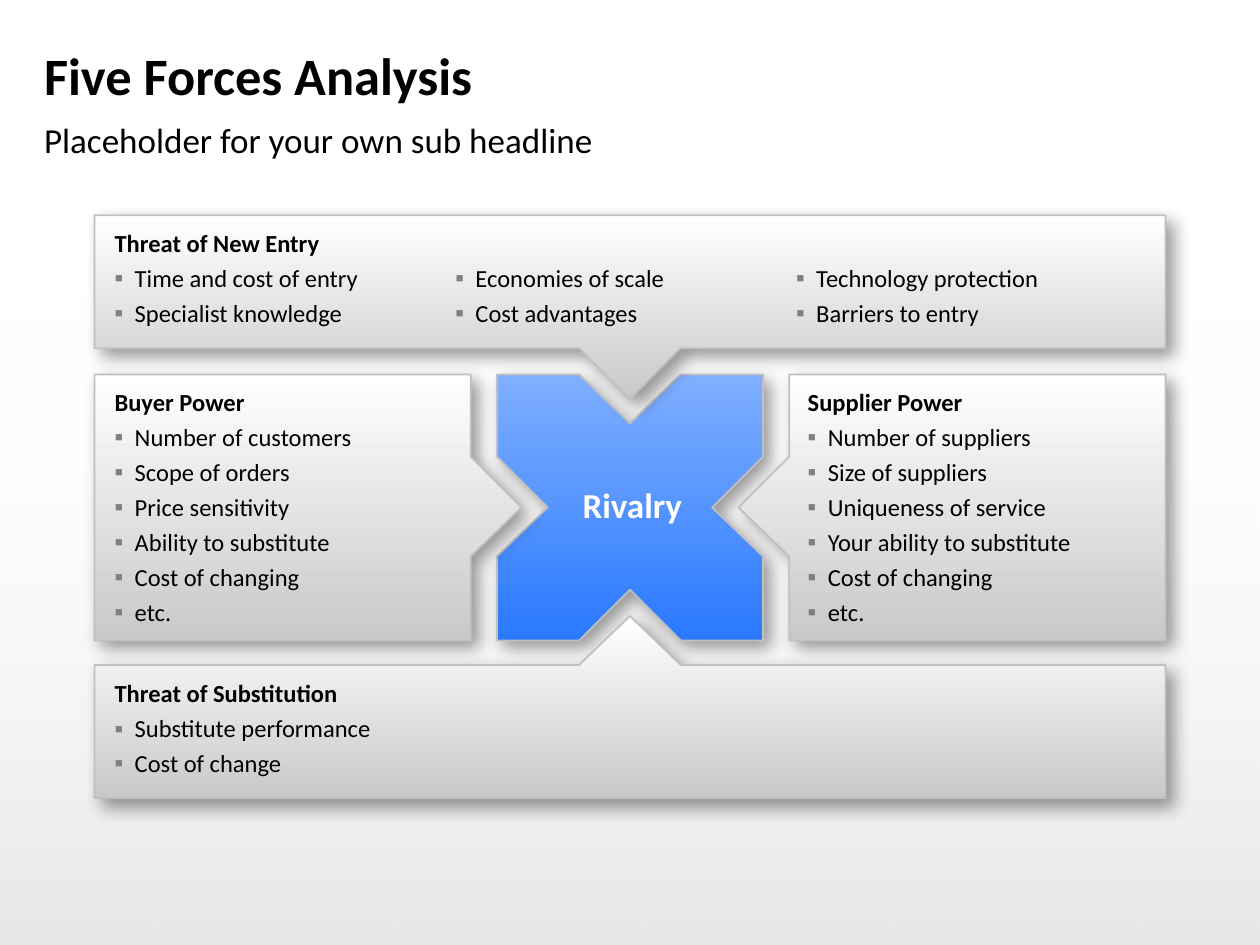
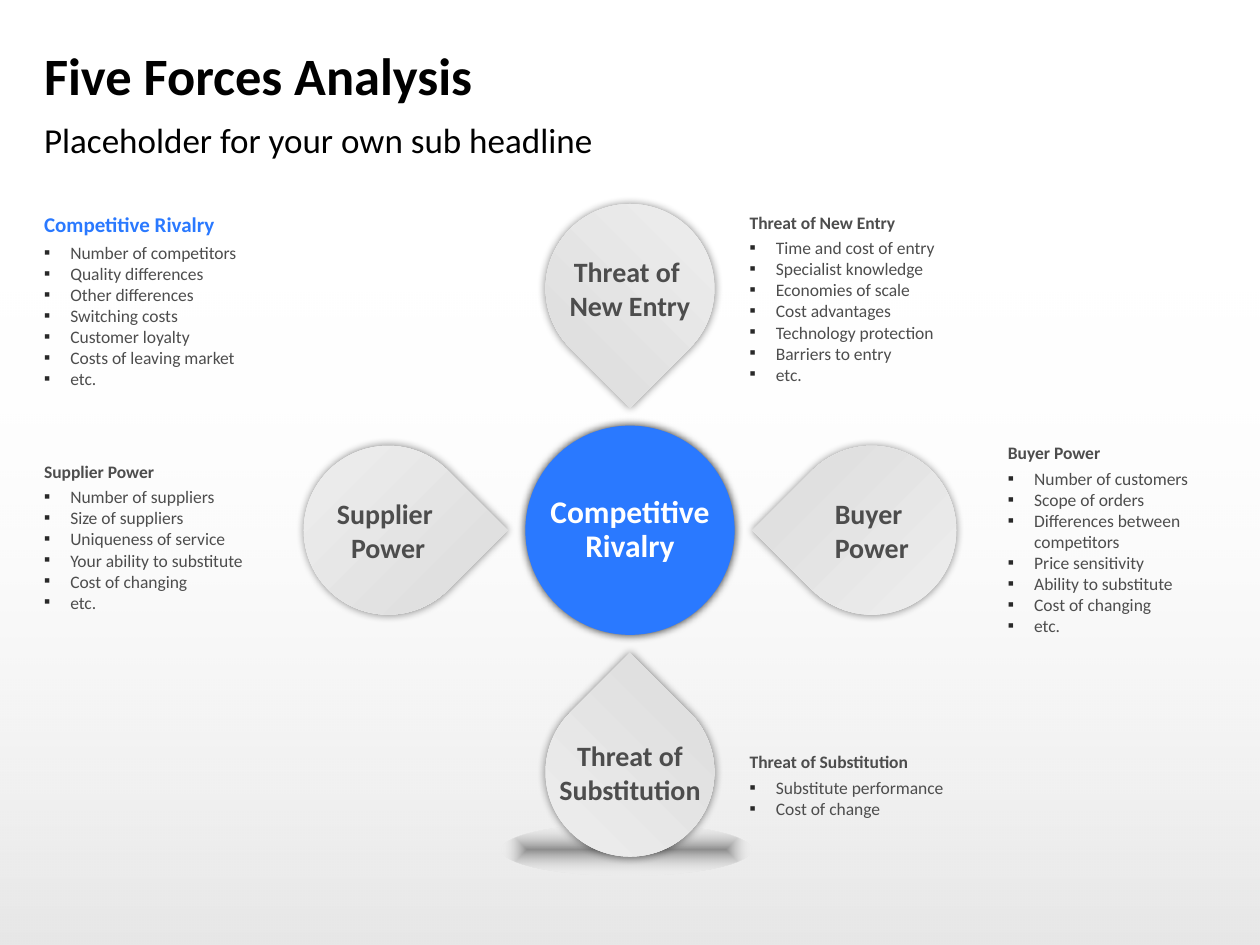
from copy import deepcopy
from lxml.etree import SubElement
from pptx import Presentation
from pptx.dml.color import RGBColor
from pptx.enum.shapes import MSO_SHAPE
from pptx.enum.text import MSO_ANCHOR, PP_ALIGN
from pptx.oxml.ns import qn
from pptx.util import Pt

FONT = "Calibri"
BLACK = RGBColor(0, 0, 0)
WHITE = RGBColor(255, 255, 255)
BLUE = RGBColor(0x2A, 0x79, 0xFF)
SKY = RGBColor(0x7F, 0xAF, 0xFF)
SILVER = RGBColor(0xC9, 0xC9, 0xC9)
EDGE = RGBColor(0xC0, 0xC0, 0xC0)
GRAY = RGBColor(0x80, 0x80, 0x80)
DARK = RGBColor(0x4D, 0x4D, 0x4D)
COAL = RGBColor(0x29, 0x29, 0x29)
PALE = RGBColor(0xF2, 0xF2, 0xF2)
MIST = RGBColor(0xD9, 0xD9, 0xD9)

MID_X, MID_Y = 360, 289.7
HALF, NOTCH, WIDE = 76.2, 28.8, 306
NEAR = HALF + 14.4
FAR = NEAR + HALF

ENTRY = ["Time and cost of entry", "Specialist knowledge", "Economies of scale",
         "Cost advantages", "Technology protection", "Barriers to entry"]
SUPPLY = ["Number of suppliers", "Size of suppliers", "Uniqueness of service",
          "Your ability to substitute", "Cost of changing", "etc."]
BUYER = ["Number of customers", "Scope of orders", "Price sensitivity",
         "Ability to substitute", "Cost of changing", "etc."]
SWAP = ["Substitute performance", "Cost of change"]
RIVAL = ["Number of competitors", "Quality differences", "Other differences",
         "Switching costs", "Customer loyalty", "Costs of leaving market", "etc."]


def add(parent, tag, **attrs):
    return SubElement(parent, qn(tag), {k: str(v) for k, v in attrs.items()})


def blend(shape, stops, angle=0, alphas=(), radial=False):
    shape.fill.gradient()
    shape.fill.gradient_angle = angle
    for stop, color, place in zip(shape.fill.gradient_stops, stops, (0, 1)):
        stop.color.rgb = color
        stop.position = place
    grad = shape._element.spPr.find(qn("a:gradFill"))
    for node, alpha in zip(grad.iter(qn("a:srgbClr")), alphas):
        add(node, "a:alpha", val=alpha * 1000)
    if radial:
        grad.remove(grad.find(qn("a:lin")))
        ring = add(grad, "a:path", path="shape")
        add(ring, "a:fillToRect", l=50000, t=50000, r=50000, b=50000)


def shade(shape, alpha, blur, dist=0, angle=0):
    shape.shadow.inherit = False
    fx = shape._element.spPr.find(qn("a:effectLst"))
    drop = add(fx, "a:outerShdw", blurRad=Pt(blur), dist=Pt(dist),
               dir=angle * 60000, algn="ctr", rotWithShape=0)
    add(add(drop, "a:srgbClr", val=str(BLACK)), "a:alpha", val=alpha * 1000)


def frame(shape, inset=(0, 0, 0, 0), anchor=MSO_ANCHOR.TOP, wrap=True):
    body = shape.text_frame
    body.word_wrap = wrap
    body.vertical_anchor = anchor
    (body.margin_left, body.margin_top,
     body.margin_right, body.margin_bottom) = [Pt(n) for n in inset]
    return shape


def say(shape, text, size=14, color=BLACK, bold=False, align=PP_ALIGN.LEFT,
        line=1.0, after=0, mark=None, hang=0):
    body = shape.text_frame
    para = body.add_paragraph() if body.text else body.paragraphs[0]
    para.text = text
    para.alignment = align
    para.line_spacing = line
    para.space_after = Pt(after)
    for run in para.runs:
        run.font.name = FONT
        run.font.size = Pt(size)
        run.font.bold = bold
        run.font.color.rgb = color
    for gap in para._p.findall(qn("a:br")):
        gap.insert(0, deepcopy(para.runs[0]._r.rPr))
    if mark is not None:
        props = para._p.get_or_add_pPr()
        props.set("marL", str(Pt(hang)))
        props.set("indent", str(-Pt(hang)))
        add(add(props, "a:buClr"), "a:srgbClr", val=str(mark))
        add(props, "a:buFont", typeface=FONT)
        add(props, "a:buChar", char="▪")


def box(slide, x, y, w, h, inset=(0, 0, 0, 0), anchor=MSO_ANCHOR.TOP):
    return frame(slide.shapes.add_textbox(Pt(x), Pt(y), Pt(w), Pt(h)), inset, anchor)


def form(slide, kind, x, y, w, h):
    shape = slide.shapes.add_shape(kind, Pt(x), Pt(y), Pt(w), Pt(h))
    shape.shadow.inherit = False
    shape.line.fill.background()
    return shape


def start(deck):
    slide = deck.slides.add_slide(deck.slide_layouts[6])
    slide.background.fill.solid()
    slide.background.fill.fore_color.rgb = WHITE
    band = form(slide, MSO_SHAPE.RECTANGLE, 0, 159, 720, 381)
    blend(band, (BLACK, WHITE), 90, (10, 0))
    say(box(slide, 25.2, 18.7, 669, 48.2, anchor=MSO_ANCHOR.MIDDLE),
        "Five Forces Analysis", size=30, bold=True)
    say(box(slide, 25.2, 67.7, 669, 26.6),
        "Placeholder for your own sub headline", size=20)
    return slide


def panel(slide, points, stops, angle, inset, anchor=MSO_ANCHOR.TOP):
    spots = [(MID_X + x, MID_Y + y) for x, y in points]
    pen = slide.shapes.build_freeform(*spots[0], scale=Pt(1))
    pen.add_line_segments(spots[1:])
    shape = pen.convert_to_shape()
    blend(shape, stops, angle)
    shape.line.color.rgb = EDGE
    shape.line.width = Pt(1)
    shade(shape, 40, 10, 5, 45)
    return frame(shape, inset, anchor)


def points(shape, items):
    for item in items:
        say(shape, item, line=0.95, after=4, mark=GRAY, hang=11.5)


def force(slide, outline, inset, head, items):
    shape = panel(slide, outline, (WHITE, SILVER), 270, inset)
    say(shape, head, bold=True, line=0.95, after=4)
    points(shape, items)


def blocks(deck):
    slide = start(deck)
    side = [(-HALF, -HALF), (-NOTCH, -HALF), (0, NOTCH - HALF), (NOTCH, -HALF)]
    star = []
    for _ in range(4):
        star += side
        side = [(-y, x) for x, y in side]
    core = panel(slide, star, (BLUE, SKY), 90, (8.6, 5.8, 5.8, 5.8), MSO_ANCHOR.MIDDLE)
    say(core, "Rivalry", size=20, color=WHITE, bold=True,
        align=PP_ALIGN.CENTER, line=0.85)

    top = [(-WIDE, -FAR), (WIDE, -FAR), (WIDE, -NEAR), (NOTCH, -NEAR),
           (0, NOTCH - NEAR), (-NOTCH, -NEAR), (-WIDE, -NEAR)]
    left = [(-WIDE, -HALF), (-NEAR, -HALF), (-NEAR, -NOTCH), (NOTCH - NEAR, 0),
            (-NEAR, NOTCH), (-NEAR, HALF), (-WIDE, HALF)]
    low = [(x, -y) for x, y in top]
    right = [(-x, y) for x, y in left]
    force(slide, top, (11.5, 8.6, 17.3, 28), "Threat of New Entry", ENTRY[:2])
    for col in (1, 2):
        part = box(slide, 65.5 + 194.7 * col, 151.4, 194.7, 44)
        points(part, ENTRY[2 * col:2 * col + 2])
    force(slide, left, (11.5, 8.6, 39.6, 8.6), "Buyer Power", BUYER)
    force(slide, right, (39.6, 8.6, 5.8, 8.6), "Supplier Power", SUPPLY)
    force(slide, low, (11.5, 36.9, 17.3, 8.6), "Threat of Substitution", SWAP)


def notes(slide, place, inset, anchor, head, items, size=10, color=DARK):
    shape = box(slide, *place, inset, anchor)
    say(shape, head, size=size, color=color, bold=True, line=0.9, after=size * 0.24)
    for item in items:
        say(shape, item, size=10, color=DARK, mark=COAL, hang=15)


def drop(slide, x, y, turn, text):
    size = 96.5
    shape = form(slide, MSO_SHAPE.TEAR, x - size / 2, y - size / 2, size, size)
    shape.rotation = turn
    blend(shape, (PALE, MIST))
    shade(shape, 47, 5)
    label = box(slide, x - size / 2, y - 23, size, 46,
                (7.2, 3.6, 7.2, 3.6), MSO_ANCHOR.MIDDLE)
    say(label, text, size=16, color=DARK, bold=True, align=PP_ALIGN.CENTER)


def drops(deck):
    slide = start(deck)
    top, mid = MSO_ANCHOR.TOP, MSO_ANCHOR.MIDDLE
    notes(slide, (419.8, 122.4, 134, 110), (8.6, 0, 11.5, 5.8), top,
          "Threat of New Entry", ENTRY + ["etc."])
    notes(slide, (25.2, 122.4, 140, 123), (0, 0, 0, 5.8), top,
          "Competitive Rivalry", RIVAL, size=12, color=BLUE)
    notes(slide, (419.8, 418.3, 148, 59), (8.6, 8.6, 11.5, 5.8), mid,
          "Threat of Substitution", SWAP)
    notes(slide, (567.4, 241.9, 126.7, 131), (8.6, 8.6, 0, 5.8), mid, "Buyer Power",
          BUYER[:2] + ["Differences between competitors"] + BUYER[2:])
    notes(slide, (25.2, 260.6, 131.8, 93.6), (0, 3.6, 7.2, 3.6), mid,
          "Supplier Power", SUPPLY)

    floor = form(slide, MSO_SHAPE.OVAL, 286.6, 470.9, 142.6, 29.5)
    blend(floor, (BLACK, WHITE), alphas=(40, 0), radial=True)
    x, y, reach = 360, 303, 138.2
    core = form(slide, MSO_SHAPE.OVAL, x - 59.8, y - 59.8, 119.6, 119.6)
    core.fill.solid()
    core.fill.fore_color.rgb = BLUE
    shade(core, 79, 5)
    frame(core, (0, 3.6, 0, 3.6), mid, wrap=False)
    say(core, "Competitive\vRivalry", size=18, color=WHITE, bold=True,
        align=PP_ALIGN.CENTER, line=0.9, after=4.3)
    drop(slide, x, y - reach, 135, "Threat of \vNew Entry")
    drop(slide, x, y + reach, 315, "Threat of Substitution")
    drop(slide, x - reach, y, 45, "Supplier \vPower")
    drop(slide, x + reach, y, 225, "Buyer \vPower")


def main():
    deck = Presentation()
    deck.slide_width, deck.slide_height = Pt(720), Pt(540)
    blocks(deck)
    drops(deck)
    deck.save("out.pptx")


main()
